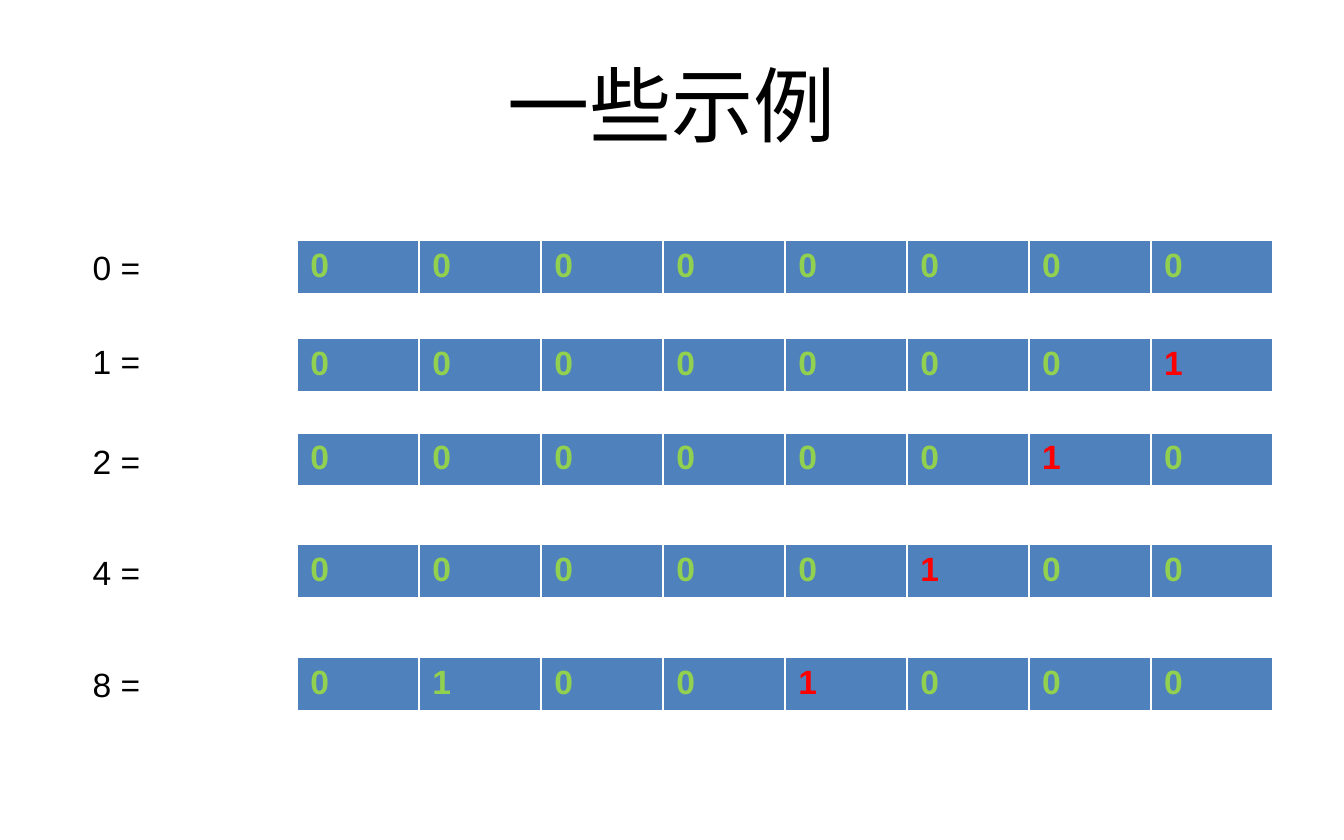
from lxml.etree import SubElement
from pptx import Presentation
from pptx.dml.color import RGBColor
from pptx.enum.text import MSO_ANCHOR, MSO_AUTO_SIZE, PP_ALIGN
from pptx.oxml.ns import qn
from pptx.util import Inches, Pt

BLACK = RGBColor(0x00, 0x00, 0x00)
WHITE = RGBColor(0xFF, 0xFF, 0xFF)
BLUE = RGBColor(0x4F, 0x81, 0xBD)
GREEN = RGBColor(0x92, 0xD0, 0x50)
RED = RGBColor(0xFF, 0x00, 0x00)

GRID_STEP = Inches(0.1)  # the slide is 100 columns by 62.5 rows
COLUMNS, ROWS = 100, 62.5

# number, its bits, row of its label, row of its table
EXAMPLES = [
    (0, "00000000", 17.9, 17.9),
    (1, "00000001", 24.9, 25.2),
    (2, "00000010", 32.3, 32.2),
    (4, "00000100", 40.6, 40.5),
    (8, "01001000", 48.9, 48.9),
]


def grid(*steps):
    return [round(step * GRID_STEP) for step in steps]


def write(frame, text, size=18, font="Arial", color=BLACK, bold=False, align=PP_ALIGN.LEFT):
    paragraph = frame.paragraphs[0]
    paragraph.alignment = align
    run = paragraph.add_run()
    run.text = text
    run.font.size = Pt(size)
    run.font.name = font
    run.font.bold = bold
    run.font.color.rgb = color


def outline_cell(cell):
    """Draw white borders, heavier at the bottom; call before filling the cell."""
    properties = cell._tc.get_or_add_tcPr()
    for side, width in (("lnL", 1), ("lnR", 1), ("lnT", 1), ("lnB", 3)):
        border = SubElement(properties, qn(f"a:{side}"), w=str(Pt(width)))
        fill = SubElement(border, qn("a:solidFill"))
        SubElement(fill, qn("a:srgbClr"), val=str(WHITE))


class BitSlide:
    def __init__(self, presentation):
        self.slide = presentation.slides.add_slide(presentation.slide_layouts[5])

    def title(self, text):
        heading = self.slide.shapes.title
        heading.left, heading.top, heading.width, heading.height = grid(5, 2.5, 90, 10.4)
        heading.text_frame.vertical_anchor = MSO_ANCHOR.MIDDLE
        write(heading.text_frame, text, size=44, font="Calibri", align=PP_ALIGN.CENTER)

    def label(self, text, row):
        frame = self.slide.shapes.add_textbox(*grid(5.9, row, 7.9, 4)).text_frame
        frame.word_wrap = True
        frame.auto_size = MSO_AUTO_SIZE.SHAPE_TO_FIT_TEXT
        write(frame, text)

    def bit_table(self, number, bits, row):
        """Show the bits, with the one whose place value is the number in red."""
        place = grid(22.1, row, 72.6, 4.1)
        table = self.slide.shapes.add_table(1, len(bits), *place).table
        for index, bit in enumerate(bits):
            cell = table.cell(0, index)
            outline_cell(cell)
            cell.fill.solid()
            cell.fill.fore_color.rgb = BLUE
            place_value = 2 ** (len(bits) - 1 - index)
            color = RED if place_value == number else GREEN
            write(cell.text_frame, bit, color=color, bold=True)


def main():
    presentation = Presentation()
    presentation.slide_width, presentation.slide_height = grid(COLUMNS, ROWS)
    bit_slide = BitSlide(presentation)
    bit_slide.title("一些示例")
    for number, bits, label_row, table_row in EXAMPLES:
        bit_slide.bit_table(number, bits, table_row)
        bit_slide.label(f"{number} =", label_row)
    presentation.save("out.pptx")


if __name__ == "__main__":
    main()
